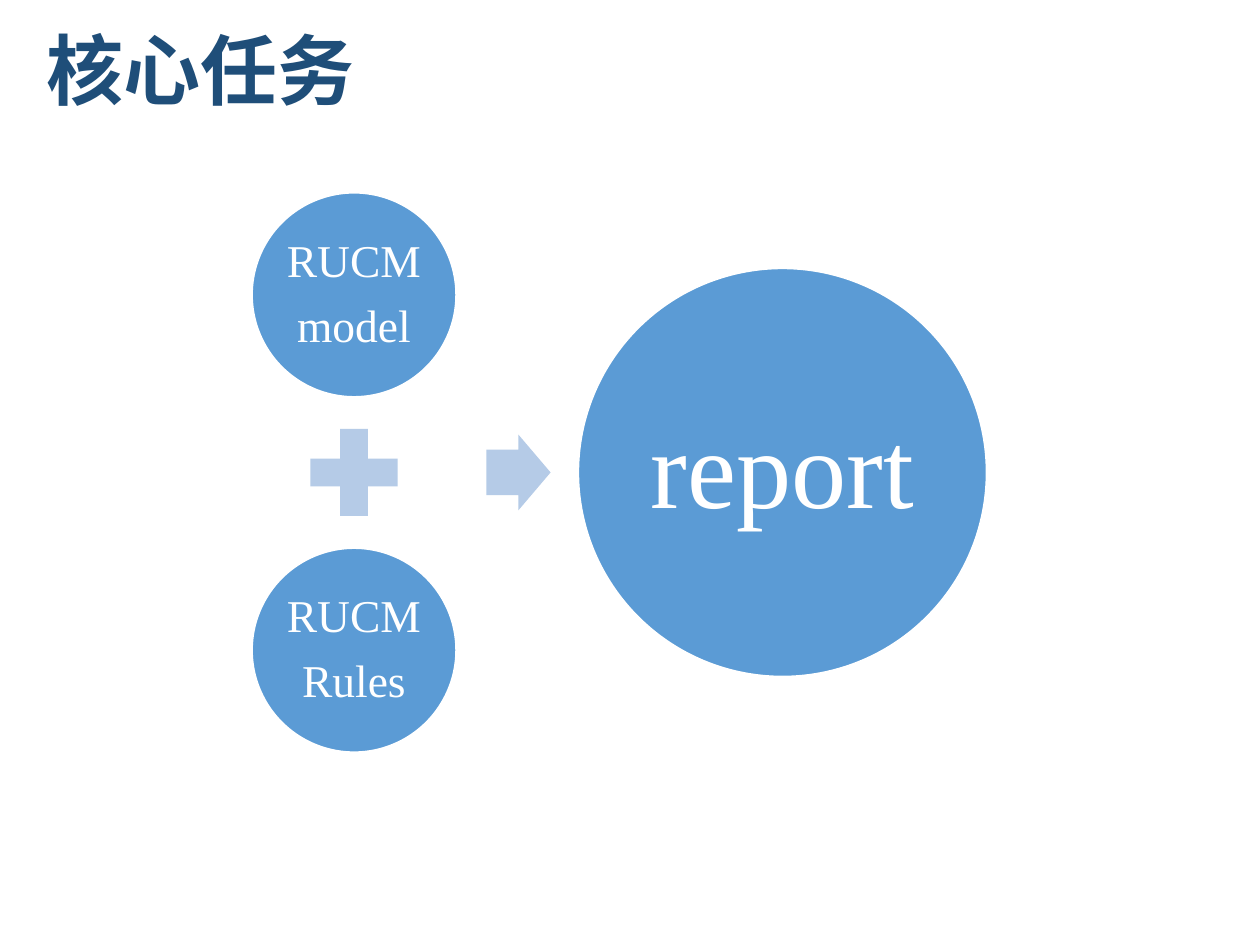
"""Build the core task slide: two RUCM inputs combine into a report."""
from dataclasses import dataclass

from pptx import Presentation
from pptx.dml.color import RGBColor
from pptx.enum.lang import MSO_LANGUAGE_ID as Language
from pptx.enum.shapes import MSO_SHAPE as Preset
from pptx.enum.text import MSO_ANCHOR as Anchor, MSO_AUTO_SIZE as AutoSize, PP_ALIGN as Align
from pptx.slide import Slide
from pptx.text.text import TextFrame
from pptx.util import Inches, Pt


@dataclass(frozen=True)
class Theme:
    font: str = "Times New Roman"
    title: RGBColor = RGBColor(0x1F, 0x4E, 0x79)
    circle: RGBColor = RGBColor(0x5B, 0x9B, 0xD5)
    sign: RGBColor = RGBColor(0xB5, 0xCB, 0xE7)
    white: RGBColor = RGBColor(0xFF, 0xFF, 0xFF)
    title_size: float = 44
    input_size: float = 26
    report_size: float = 63
    line_spacing: float = 0.9
    paragraph_gap: float = 0.35


@dataclass(frozen=True)
class Circle:
    text: str
    x: float
    y: float
    diameter: float
    type_size: float
    inset: float


@dataclass(frozen=True)
class Sign:
    preset: Preset
    x: float
    y: float
    width: float
    height: float
    adjustments: tuple[float, ...] = ()


THEME = Theme()
SLIDE_WIDTH, SLIDE_HEIGHT = Inches(10), Inches(7.5)
MIDDLE, ROW_STEP = 37.5, 14.1
INPUT_X, ARROW_X, REPORT_X = 28.1, 41.15, 62.1
INPUT_DIAMETER = 16.2

CIRCLES = (
    Circle("RUCM\nmodel", INPUT_X, MIDDLE - ROW_STEP, INPUT_DIAMETER, THEME.input_size, 0.4),
    Circle("RUCM\nRules", INPUT_X, MIDDLE + ROW_STEP, INPUT_DIAMETER, THEME.input_size, 0.4),
    Circle("report", REPORT_X, MIDDLE, 2 * INPUT_DIAMETER, THEME.report_size, 0.9),
)
SIGNS = (
    Sign(Preset.MATH_PLUS, INPUT_X, MIDDLE, 9.4, 9.4),
    Sign(Preset.RIGHT_ARROW, ARROW_X, MIDDLE, 5.1, 6, (0.6, 0.5)),
)


def share(percent: float) -> int:
    """Turn a percentage of the slide width into a length."""
    return round(SLIDE_WIDTH * percent / 100)


def format_text(frame: TextFrame, size: float, color: RGBColor, align: Align) -> None:
    """Apply the theme's typography to a text frame."""
    frame.word_wrap = True
    frame.auto_size = AutoSize.NONE
    frame.vertical_anchor = Anchor.MIDDLE
    for paragraph in frame.paragraphs:
        paragraph.alignment = align
        paragraph.line_spacing = THEME.line_spacing
        for run in paragraph.runs:
            run.font.name = THEME.font
            run.font.size = Pt(size)
            run.font.color.rgb = color


def add_centred(slide: Slide, preset: Preset, x: float, y: float,
                width: float, height: float, fill: RGBColor):
    """Add a filled shape around a centre given in shares of the slide width."""
    shape = slide.shapes.add_shape(preset, share(x - width / 2), share(y - height / 2),
                                   share(width), share(height))
    shape.shadow.inherit = False
    shape.fill.solid()
    shape.fill.fore_color.rgb = fill
    return shape


def add_circle(slide: Slide, circle: Circle) -> None:
    """Add a labelled circle."""
    shape = add_centred(slide, Preset.OVAL, circle.x, circle.y,
                        circle.diameter, circle.diameter, THEME.circle)
    shape.line.color.rgb = THEME.white
    shape.line.width = Pt(1)
    frame = shape.text_frame
    frame.text = circle.text
    frame.margin_left = frame.margin_right = share(circle.inset)
    frame.margin_top = frame.margin_bottom = share(circle.inset)
    format_text(frame, circle.type_size, THEME.white, Align.CENTER)
    for paragraph in frame.paragraphs:
        paragraph.space_after = Pt(circle.type_size * THEME.paragraph_gap)


def add_sign(slide: Slide, sign: Sign) -> None:
    """Add an operator between circles."""
    shape = add_centred(slide, sign.preset, sign.x, sign.y, sign.width, sign.height, THEME.sign)
    shape.line.fill.background()
    for index, value in enumerate(sign.adjustments):
        shape.adjustments[index] = value


def set_title(slide: Slide, text: str) -> None:
    """Fill, place and format the title placeholder."""
    title = slide.shapes.title
    title.left, title.top = share(2.7), share(-0.3)
    title.width, title.height = share(92.9), share(12.5)
    title.text_frame.text = text
    format_text(title.text_frame, THEME.title_size, THEME.title, Align.LEFT)
    font = title.text_frame.paragraphs[0].runs[0].font
    font.bold = True
    font.language_id = Language.SIMPLIFIED_CHINESE


def main() -> None:
    """Create and save the presentation."""
    presentation = Presentation()
    presentation.slide_width, presentation.slide_height = SLIDE_WIDTH, SLIDE_HEIGHT
    slide = presentation.slides.add_slide(presentation.slide_layouts.get_by_name("Title Only"))
    set_title(slide, "核心任务")
    for circle in CIRCLES:
        add_circle(slide, circle)
    for sign in SIGNS:
        add_sign(slide, sign)
    presentation.save("out.pptx")


if __name__ == "__main__":
    main()
